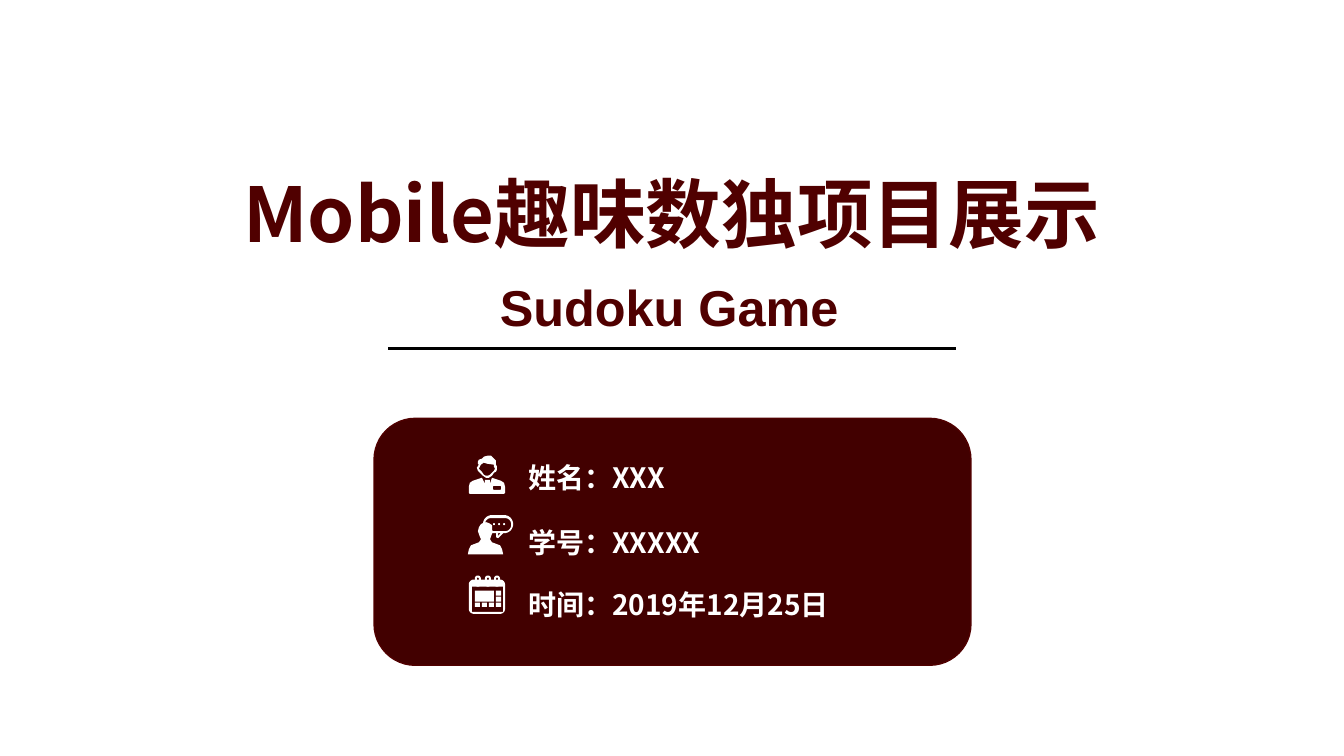
from math import cos, pi, sin

from lxml.etree import SubElement
from pptx import Presentation
from pptx.dml.color import RGBColor
from pptx.enum.shapes import MSO_CONNECTOR as Connector, MSO_SHAPE as Shape
from pptx.enum.text import MSO_AUTO_SIZE as AutoSize, PP_ALIGN as Align
from pptx.oxml.ns import qn
from pptx.util import Inches, Pt

MAROON = RGBColor(0x50, 0x00, 0x00)
DARK_MAROON = RGBColor(0x42, 0x00, 0x00)
BLACK = RGBColor(0x00, 0x00, 0x00)
WHITE = RGBColor(0xFF, 0xFF, 0xFF)
CJK_FONT = "Noto Sans CJK SC"
LATIN_FONT = "Arial"


# Outlines for the icons, as lists of points in inches
def box(left, top, right, bottom):
    return [(left, top), (right, top), (right, bottom), (left, bottom)]


def rounded_box(left, top, right, bottom, radius, steps=8):
    corners = [(right - radius, bottom - radius), (left + radius, bottom - radius),
               (left + radius, top + radius), (right - radius, top + radius)]
    return [(x + radius * cos(angle), y + radius * sin(angle))
            for quarter, (x, y) in enumerate(corners)
            for angle in [(quarter + step / steps) * pi / 2 for step in range(steps + 1)]]


def dot(x, y, radius):
    return rounded_box(x - radius, y - radius, x + radius, y + radius, radius)


class TitleSlide:
    def __init__(self, slide):
        self.shapes = slide.shapes

    def panel(self, left, top, width, height):
        shape = self.shapes.add_shape(Shape.ROUNDED_RECTANGLE, Inches(left), Inches(top),
                                      Inches(width), Inches(height))
        shape.shadow.inherit = False
        shape.fill.solid()
        shape.fill.fore_color.rgb = DARK_MAROON
        shape.line.color.rgb = MAROON
        shape.line.width = Pt(1)

    def text(self, words, left, top, width, height, size, color,
             font=CJK_FONT, align=Align.LEFT, wrap=True):
        shape = self.shapes.add_textbox(Inches(left), Inches(top), Inches(width), Inches(height))
        frame = shape.text_frame
        frame.word_wrap = wrap
        frame.auto_size = AutoSize.SHAPE_TO_FIT_TEXT
        paragraph = frame.paragraphs[0]
        paragraph.text = words
        paragraph.alignment = align
        paragraph.font.name = font
        paragraph.font.size = Pt(size)
        paragraph.font.bold = True
        paragraph.font.color.rgb = color
        # East Asian typeface
        defaults = paragraph._p.get_or_add_pPr().find(qn("a:defRPr"))
        SubElement(defaults, qn("a:ea")).set("typeface", font)

    def rule(self, left, right, y):
        line = self.shapes.add_connector(Connector.STRAIGHT, Inches(left), Inches(y),
                                         Inches(right), Inches(y))
        line.line.color.rgb = BLACK
        line.line.width = Pt(2.25)
        SubElement(line._element.spPr, qn("a:effectLst"))

    def icon(self, outlines):
        first, *others = [[(Inches(x), Inches(y)) for x, y in outline] for outline in outlines]
        builder = self.shapes.build_freeform(*first[0])
        builder.add_line_segments(first[1:])
        for outline in others:
            builder.move_to(*outline[0])
            builder.add_line_segments(outline[1:])
        shape = builder.convert_to_shape()
        shape.shadow.inherit = False
        shape.fill.solid()
        shape.fill.fore_color.rgb = WHITE
        shape.line.fill.background()


def draw_person(page):
    hair = [(4.93, 4.63), (4.92, 4.61), (4.92, 4.57), (4.89, 4.54), (4.87, 4.52), (4.84, 4.52),
            (4.8, 4.53), (4.78, 4.55), (4.75, 4.56), (4.74, 4.58), (4.74, 4.6), (4.75, 4.61),
            (4.73, 4.64), (4.74, 4.67), (4.76, 4.69), (4.79, 4.72), (4.82, 4.74), (4.85, 4.74),
            (4.88, 4.72), (4.9, 4.69), (4.92, 4.68), (4.93, 4.66)]
    face = [(4.91, 4.65), (4.9, 4.67), (4.89, 4.68), (4.86, 4.71), (4.84, 4.72), (4.82, 4.72),
            (4.8, 4.71), (4.78, 4.68), (4.77, 4.67), (4.75, 4.65), (4.76, 4.63), (4.77, 4.61),
            (4.8, 4.59), (4.83, 4.6), (4.9, 4.61), (4.9, 4.63)]
    body = [(4.97, 4.77), (4.88, 4.74), (4.86, 4.8), (4.86, 4.76), (4.81, 4.76), (4.81, 4.8),
            (4.78, 4.74), (4.69, 4.77), (4.66, 4.79), (4.65, 4.83), (4.65, 4.89), (4.66, 4.9),
            (5, 4.9), (5.01, 4.89), (5.01, 4.83), (5, 4.79)]
    badge = rounded_box(4.89, 4.82, 4.97, 4.86, 0.01)
    page.icon([hair, face, body, badge])


def draw_speaker(page):
    page.icon([[(4.64, 5.5), (4.65, 5.45), (4.67, 5.41), (4.75, 5.38), (4.77, 5.35),
                (4.75, 5.3), (4.74, 5.27), (4.75, 5.23), (4.77, 5.2), (4.79, 5.19),
                (4.82, 5.18), (4.85, 5.19), (4.88, 5.21), (4.88, 5.26), (4.89, 5.27),
                (4.87, 5.32), (4.86, 5.35), (4.88, 5.38), (4.96, 5.41), (4.98, 5.45),
                (4.99, 5.5)]])
    tail = [(4.92, 5.28), (4.92, 5.33), (4.94, 5.34), (5, 5.28), (4.98, 5.27), (4.94, 5.32),
            (4.94, 5.27)]
    dots = [dot(4.9 + 0.05 * i, 5.2, 0.01) for i in range(3)]
    page.icon([rounded_box(4.79, 5.11, 5.09, 5.29, 0.09),
               rounded_box(4.81, 5.14, 5.07, 5.27, 0.06), *dots])
    page.icon([tail])


def draw_calendar(page):
    days = [box(4.71 + 0.07 * i, 5.98, 4.76 + 0.07 * i, 6.02) for i in range(4)]
    side = [box(4.92, 5.86 + 0.06 * i, 4.97, 5.91 + 0.06 * i) for i in range(2)]
    page.icon([rounded_box(4.65, 5.75, 5.01, 6.09, 0.05), box(4.68, 5.82, 4.99, 6.07),
               box(4.71, 5.86, 4.9, 5.97), *days, *side])
    # Binding rings, each with a dark slot
    for x in (4.74, 4.84, 4.93):
        page.icon([rounded_box(x - 0.03, 5.71, x + 0.03, 5.82, 0.03),
                   rounded_box(x - 0.01, 5.73, x + 0.01, 5.8, 0.01)])


def main():
    presentation = Presentation()
    presentation.slide_width = Inches(13.33)
    presentation.slide_height = Inches(7.5)
    page = TitleSlide(presentation.slides.add_slide(presentation.slide_layouts[6]))

    # Title block
    page.panel(3.71, 4.15, 5.92, 2.45)
    page.text("Mobile趣味数独项目展示", 1.85, 1.61, 9.62, 1.01, 54, MAROON, align=Align.CENTER)
    page.text("Sudoku Game", 4.86, 2.69, 3.6, 0.71, 36, MAROON, font=LATIN_FONT, wrap=False)
    page.rule(3.85, 9.48, 3.46)

    # Author details
    details = [("姓名：XXX", 4.52, 3.4), ("学号：XXXXX", 5.16, 5), ("时间：2019年12月25日", 5.78, 4.67)]
    for words, top, width in details:
        page.text(words, 5.14, top, width, 0.44, 20, WHITE)

    # Icons
    draw_person(page)
    draw_speaker(page)
    draw_calendar(page)

    presentation.save("out.pptx")


if __name__ == "__main__":
    main()
